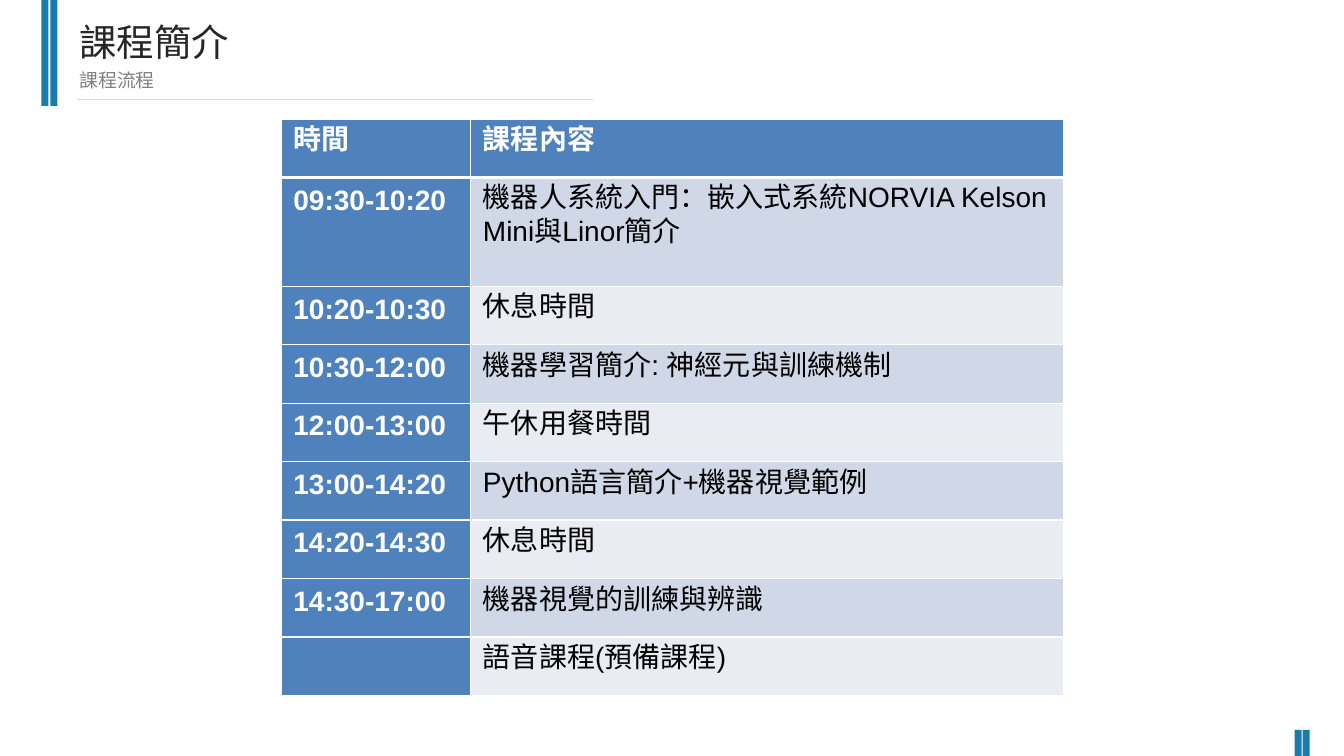
from dataclasses import dataclass
from itertools import product

from lxml import etree
from pptx import Presentation, util as u
from pptx.dml.color import RGBColor
from pptx.enum import shapes, text
from pptx.oxml import ns

PX = u.Inches(1) // 100
BAR, RULE, WHITE, BLACK = "1A7BAE", "D9D9D9", "FFFFFF", "000000"
HEAD, BANDS = "4F81BD", ("D0D8E7", "E9ECF3")
CELL = {"margin_left": 12, "margin_right": 12, "margin_top": 5, "margin_bottom": 5}
ROW_H, TALL_ROW_H = 58, 108
COL_WIDTHS = (188, 588)
THIN, THICK = 0.96, 3


@dataclass
class Box:
    x: int
    y: int
    w: int
    h: int

    def emu(self) -> tuple[int, ...]:
        return tuple(v * PX for v in (self.x, self.y, self.w, self.h))


@dataclass
class Heading:
    box: Box
    words: str
    font: dict
    color: str


BARS = [Box(41, 0, 7, 105), Box(50, 0, 7, 105),
        Box(1284, 724, 7, 26), Box(1292, 724, 7, 26)]
HEADINGS = [
    Heading(Box(69, 14, 564, 54), "課程簡介",
            {"name": "Arial Narrow", "size": u.Pt(26.7)}, "262626"),
    Heading(Box(69, 63, 564, 32), "課程流程",
            {"name": "Arial", "size": u.Pt(13.4)}, "808080"),
]
SCHEDULE = [
    ("時間", "課程內容"),
    ("09:30-10:20", "機器人系統入門：嵌入式系統NORVIA Kelson Mini與Linor簡介"),
    ("10:20-10:30", "休息時間"),
    ("10:30-12:00", "機器學習簡介: 神經元與訓練機制"),
    ("12:00-13:00", "午休用餐時間"),
    ("13:00-14:20", "Python語言簡介+機器視覺範例"),
    ("14:20-14:30", "休息時間"),
    ("14:30-17:00", "機器視覺的訓練與辨識"),
    ("", "語音課程(預備課程)"),
]


def rgb(color: str) -> RGBColor:
    return RGBColor.from_string(color)


def set_all(obj, values: dict) -> None:
    for name, value in values.items():
        setattr(obj, name, value)


def add_run(p, words: str, font: dict, color: str) -> None:
    r = p.add_run()
    r.text = words
    set_all(r.font, font)
    r.font.color.rgb = rgb(color)


def add_bar(s, box: Box) -> None:
    sp = s.shapes.add_shape(shapes.MSO_SHAPE.RECTANGLE, *box.emu())
    sp.shadow.inherit = False
    sp.fill.solid()
    sp.fill.fore_color.rgb = rgb(BAR)
    sp.line.fill.background()


def add_rule(s, x1: int, x2: int, y: int) -> None:
    line = s.shapes.add_connector(shapes.MSO_CONNECTOR.STRAIGHT,
                                  x1 * PX, y * PX, x2 * PX, y * PX)
    line.line.color.rgb = rgb(RULE)
    line.line.width = u.Pt(0.75)
    etree.SubElement(line._element.spPr, ns.qn("a:effectLst"))


def add_heading(s, heading: Heading) -> None:
    tf = s.shapes.add_textbox(*heading.box.emu()).text_frame
    tf.word_wrap = True
    tf.vertical_anchor = text.MSO_ANCHOR.TOP
    add_run(tf.paragraphs[0], heading.words, heading.font, heading.color)


def set_borders(cell, top: float, bottom: float) -> None:
    """Draw white cell edges; the schema wants them ahead of the fill."""
    tc_pr = cell._tc.get_or_add_tcPr()
    edges = {"lnL": THIN, "lnR": THIN, "lnT": top, "lnB": bottom}
    for i, (tag, width) in enumerate(edges.items()):
        ln = etree.Element(ns.qn(f"a:{tag}"), w=str(u.Pt(width)))
        fill = etree.SubElement(ln, ns.qn("a:solidFill"))
        etree.SubElement(fill, ns.qn("a:srgbClr"), val=WHITE)
        tc_pr.insert(i, ln)


def fill_cell(cell, row: int, col: int) -> None:
    strong = row == 0 or col == 0
    set_all(cell, {name: px * PX for name, px in CELL.items()})
    cell.fill.solid()
    cell.fill.fore_color.rgb = rgb(HEAD if strong else BANDS[(row - 1) % 2])
    set_borders(cell, THICK if row == 1 else THIN, THICK if row == 0 else THIN)
    p = cell.text_frame.paragraphs[0]
    set_all(p, {"line_spacing": u.Pt(24), "space_before": u.Pt(2.4)})
    if SCHEDULE[row][col]:
        add_run(p, SCHEDULE[row][col],
                {"name": "Arial", "size": u.Pt(20), "bold": strong},
                WHITE if strong else BLACK)


def add_schedule(s, x: int, y: int) -> None:
    heights = [TALL_ROW_H if i == 1 else ROW_H for i in range(len(SCHEDULE))]
    box = Box(x, y, sum(COL_WIDTHS), sum(heights))
    table = s.shapes.add_table(len(heights), len(COL_WIDTHS), *box.emu()).table
    set_all(table, {"first_row": False, "horz_banding": False})
    for column, width in zip(table.columns, COL_WIDTHS):
        column.width = width * PX
    for row, height in zip(table.rows, heights):
        row.height = height * PX
    for row, col in product(range(len(heights)), range(len(COL_WIDTHS))):
        fill_cell(table.cell(row, col), row, col)


def main() -> None:
    prs = Presentation()
    set_all(prs, {"slide_width": 1333 * PX, "slide_height": 750 * PX})
    s = prs.slides.add_slide(prs.slide_layouts[6])
    for box in BARS:
        add_bar(s, box)
    add_rule(s, 76, 588, 99)
    add_schedule(s, 279, 118)
    for heading in HEADINGS:
        add_heading(s, heading)
    prs.save("out.pptx")


if __name__ == "__main__":
    main()
